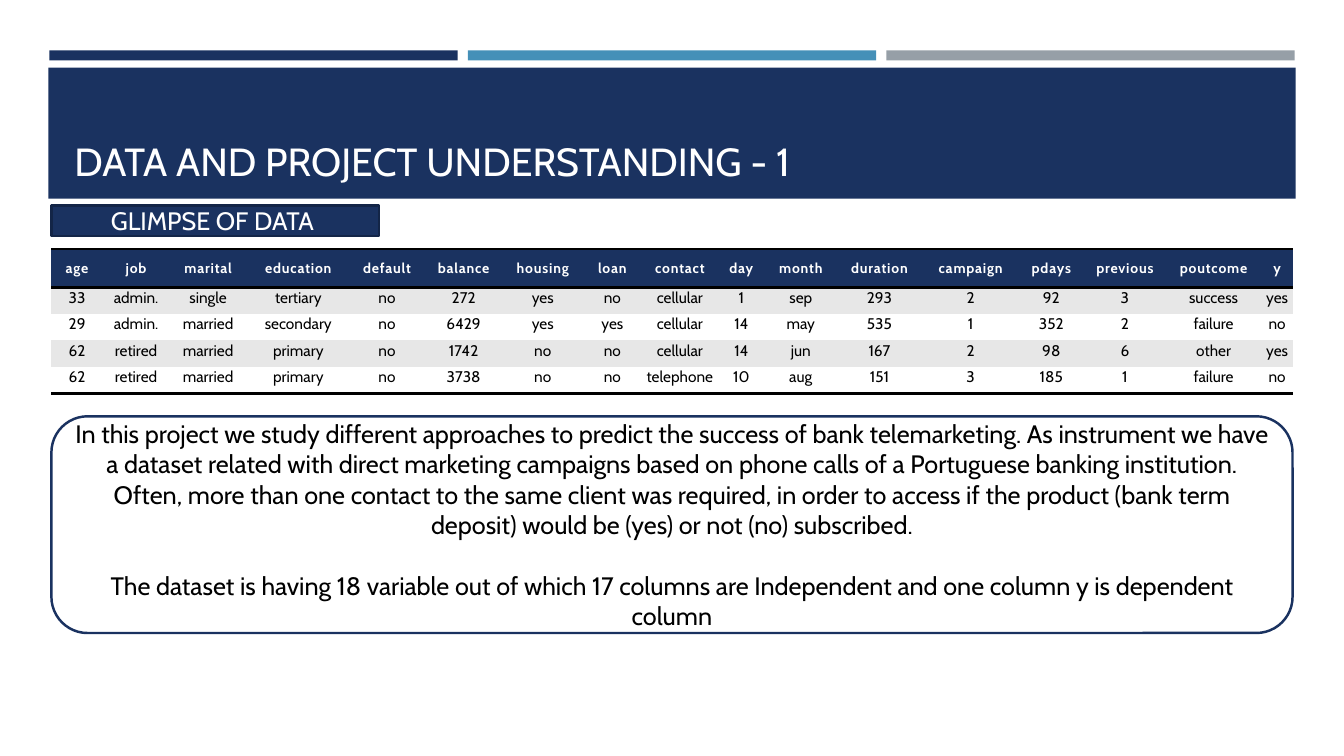
from lxml import etree
from pptx import Presentation
from pptx import util as u
from pptx.dml.color import RGBColor
from pptx.enum import shapes, text
from pptx.oxml import ns

Inches, Pt = u.Inches, u.Pt

FONT = "Cabin"
NAVY = RGBColor(0x1A, 0x32, 0x60)
DARK_NAVY = RGBColor(0x13, 0x25, 0x47)
BLUE = RGBColor(0x45, 0x90, 0xB8)
GRAY = RGBColor(0x96, 0x9F, 0xA7)
BAND = RGBColor(0xE7, 0xE7, 0xE7)
WHITE = RGBColor(0xFF, 0xFF, 0xFF)
BLACK = RGBColor(0x00, 0x00, 0x00)

NO_STYLE = "{2D5ABB26-0587-4C30-8999-92F81FD0307C}"
LEFT, WIDTH = 0.51, 12.31
HEADER_HEIGHT, ROW_HEIGHT = 0.38, 0.26

COLUMN_WIDTHS = {
    "age": 0.51, "job": 0.66, "marital": 0.77, "education": 1.02,
    "default": 0.74, "balance": 0.78, "housing": 0.79, "loan": 0.59,
    "contact": 0.75, "day": 0.47, "month": 0.71, "duration": 0.85,
    "campaign": 0.96, "pdays": 0.64, "previous": 0.82, "poutcome": 0.94,
    "y": 0.32,
}
CLIENTS = [
    "33 admin. single tertiary no 272 yes no cellular 1 sep 293 2 92 3 success yes",
    "29 admin. married secondary no 6429 yes yes cellular 14 may 535 1 352 2 failure no",
    "62 retired married primary no 1742 no no cellular 14 jun 167 2 98 6 other yes",
    "62 retired married primary no 3738 no no telephone 10 aug 151 3 185 1 failure no",
]
DESCRIPTION = [
    "In this project we study different approaches to predict the success of bank "
    "telemarketing. As instrument we have a dataset related with direct marketing "
    "campaigns based on phone calls of a Portuguese banking institution. Often, more "
    "than one contact to the same client was required, in order to access if the "
    "product (bank term deposit) would be (yes) or not (no) subscribed.",
    "The dataset is having 18 variable out of which 17 columns are Independent and "
    "one column y is dependent column",
]


def write(frame, paragraphs, size, color, align, gap=0):
    """Fill a text frame, with gap points between its paragraphs."""
    frame.word_wrap = True
    for index, content in enumerate(paragraphs):
        paragraph = frame.add_paragraph() if index else frame.paragraphs[0]
        paragraph.text = content
        paragraph.alignment = align
        paragraph.space_before = Pt(gap if index else 0)
        paragraph.font.name = FONT
        paragraph.font.size = Pt(size)
        paragraph.font.color.rgb = color


def add_box(slide, kind, left, top, width, height, fill, line=None):
    box = slide.shapes.add_shape(
        kind, Inches(left), Inches(top), Inches(width), Inches(height))
    box.shadow.inherit = False
    box.fill.solid()
    box.fill.fore_color.rgb = fill
    if line is None:
        box.line.fill.background()
    else:
        box.line.color.rgb = line
        box.line.width = Pt(1.75)
    box.text_frame.vertical_anchor = text.MSO_ANCHOR.MIDDLE
    return box


def add_title(slide, title):
    box = slide.shapes.add_textbox(
        Inches(0.64), Inches(0.77), Inches(12.06), Inches(1.11))
    box.text_frame.vertical_anchor = text.MSO_ANCHOR.BOTTOM
    write(box.text_frame, [title], 28, WHITE, text.PP_ALIGN.LEFT)


def add_border(cell, side):
    """Draw a black rule on one side of a cell: "T" or "B"."""
    properties = cell._tc.get_or_add_tcPr()
    line = etree.SubElement(properties, ns.qn("a:ln" + side), w=str(Pt(2)))
    fill = etree.SubElement(line, ns.qn("a:solidFill"))
    etree.SubElement(fill, ns.qn("a:srgbClr"), val=str(BLACK))


def fill_cell(cell, content, fill, size, color, margins, borders):
    for side in borders:
        add_border(cell, side)
    cell.fill.solid()
    cell.fill.fore_color.rgb = fill
    cell.vertical_anchor = text.MSO_ANCHOR.MIDDLE
    (cell.margin_left, cell.margin_top,
     cell.margin_right, cell.margin_bottom) = map(Inches, margins)
    write(cell.text_frame, [content], size, color, text.PP_ALIGN.CENTER)


def add_client_table(slide):
    rows = [list(COLUMN_WIDTHS)] + [client.split() for client in CLIENTS]
    height = HEADER_HEIGHT + ROW_HEIGHT * len(CLIENTS)
    table = slide.shapes.add_table(
        len(rows), len(COLUMN_WIDTHS), Inches(LEFT), Inches(2.47),
        Inches(WIDTH), Inches(height)).table
    table._tbl.tblPr.find(ns.qn("a:tableStyleId")).text = NO_STYLE
    for column, width in zip(table.columns, COLUMN_WIDTHS.values()):
        column.width = Inches(width)
    for index, values in enumerate(rows):
        table.rows[index].height = Inches(ROW_HEIGHT if index else HEADER_HEIGHT)
        for cell, value in zip(table.rows[index].cells, values):
            if index == 0:
                fill_cell(cell, value, NAVY, 10, WHITE, [0.1] * 4, "TB")
                paragraph = cell.text_frame.paragraphs[0]
                paragraph.font.bold = True
                paragraph.runs[0].font._element.set("spc", "60")
            else:
                fill_cell(cell, value, BAND if index % 2 else WHITE, 11, BLACK,
                          [0.01, 0.01, 0.01, 0.07],
                          "B" if index == len(CLIENTS) else "")


def main():
    presentation = Presentation()
    presentation.slide_width = Inches(13.33)
    presentation.slide_height = Inches(7.5)
    slide = presentation.slides.add_slide(presentation.slide_layouts[6])
    rectangle = shapes.MSO_SHAPE.RECTANGLE
    rounded = shapes.MSO_SHAPE.ROUNDED_RECTANGLE
    center = text.PP_ALIGN.CENTER

    for index, color in enumerate([NAVY, BLUE, GRAY]):
        add_box(slide, rectangle, 0.49 + 4.15 * index, 0.5, 4.05, 0.1, color)
    add_box(slide, rectangle, 0.48, 0.67, 12.37, 1.3, NAVY)
    add_title(slide, "DATA AND PROJECT UNDERSTANDING - 1")

    add_client_table(slide)
    heading = add_box(slide, rectangle, LEFT, 2.04, 3.25, 0.3, NAVY, DARK_NAVY)
    write(heading.text_frame, ["GLIMPSE OF DATA "], 18, WHITE, center)
    summary = add_box(slide, rounded, LEFT, 4.13, WIDTH, 2.15, WHITE, NAVY)
    write(summary.text_frame, DESCRIPTION, 18, BLACK, center, gap=22)

    presentation.save("out.pptx")


if __name__ == "__main__":
    main()
